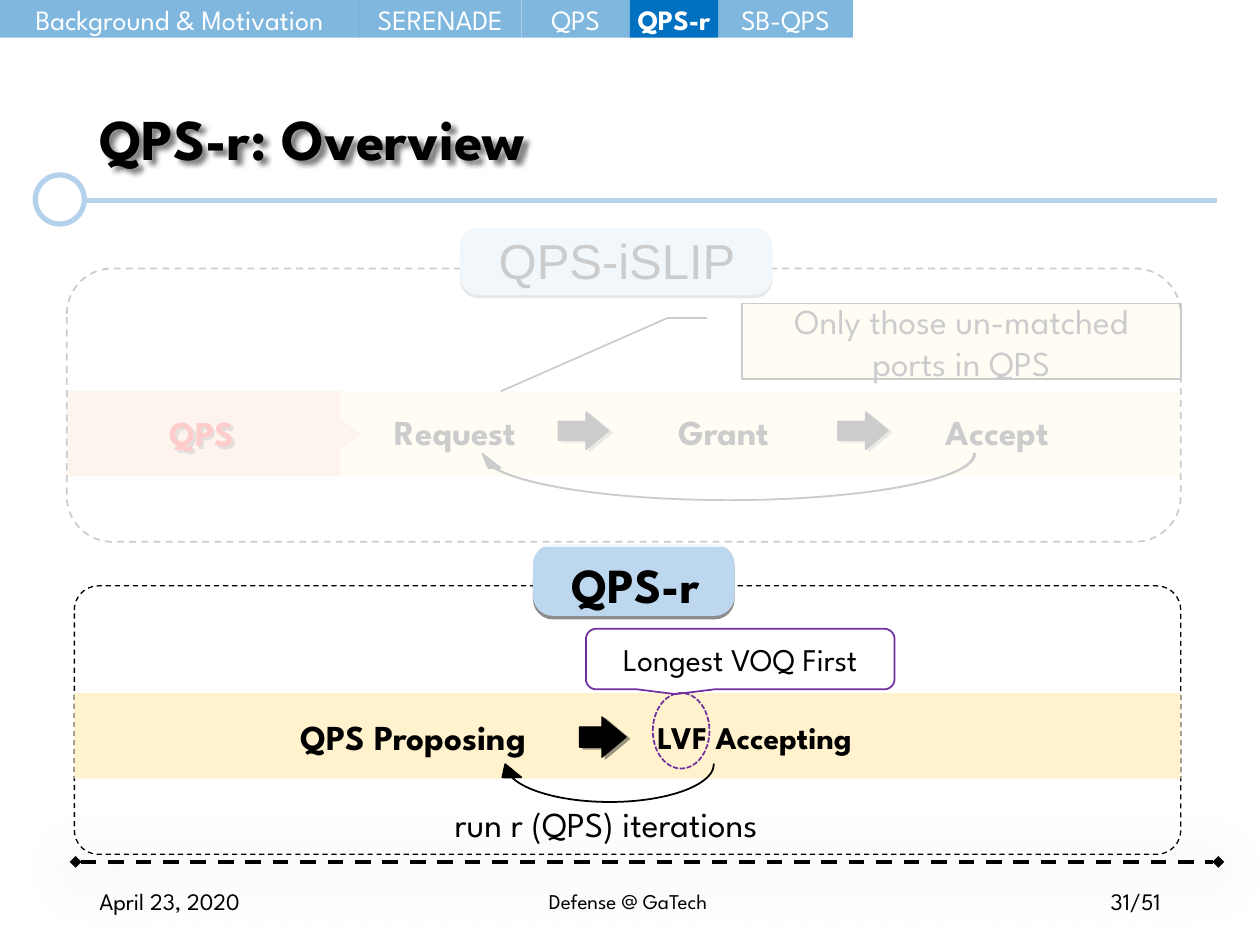
from dataclasses import dataclass
from itertools import accumulate
from typing import Any, NamedTuple, Optional

from lxml.etree import SubElement as Sub
from pptx import Presentation
from pptx.dml.color import RGBColor
from pptx.enum.dml import MSO_LINE as Dash
from pptx.enum.shapes import MSO_CONNECTOR as Link, MSO_SHAPE as Kind
from pptx.enum.text import MSO_ANCHOR as Anchor, MSO_AUTO_SIZE as Fit, PP_ALIGN as Align
from pptx.oxml.ns import qn
from pptx.util import Pt

FONT = "League Spartan"
BLACK, WHITE, BLUE, SKY = "000000", "FFFFFF", "0070C0", "BDD7EE"
CREAM, PEACH, PLUM, RULE = "FFF2CC", "F8CBAD", "7030A0", "B5D2EC"


class Shade(NamedTuple):
    tint: str
    alpha: int
    blur: float
    dist: float
    angle: int


@dataclass(frozen=True)
class Box:
    kind: Kind
    x: float
    y: float
    w: float
    h: float
    fill: Optional[str] = None
    alpha: int = 100
    line: Optional[str] = None
    thick: float = 1
    dash: Optional[Dash] = None
    adj: tuple[float, ...] = ()
    turn: int = 0
    shade: Optional[Shade] = None


class Label(NamedTuple):
    text: str
    x: float
    y: float
    w: float
    h: float
    form: dict[str, Any]


class Tab(NamedTuple):
    text: str
    width: float
    live: bool = False


def paint(item: Any, tint: str) -> None:
    item.rgb = RGBColor.from_string(tint)


def cast(effects: Any, shade: Shade) -> None:
    outer = Sub(effects, qn("a:outerShdw"), blurRad=str(Pt(shade.blur)),
                dist=str(Pt(shade.dist)), dir=str(shade.angle * 60000),
                algn="ctr", rotWithShape="0")
    color = Sub(outer, qn("a:srgbClr"), val=shade.tint)
    Sub(color, qn("a:alpha"), val=str(shade.alpha * 1000))


def drop(shape: Any, shade: Optional[Shade]) -> None:
    shape.shadow.inherit = False
    if shade:
        cast(shape.element.spPr.find(qn("a:effectLst")), shade)


def write(shape: Any, text: str, *, size: float = 20, bold: bool = False,
          tint: str = BLACK, font: str = FONT, align: Align = Align.CENTER,
          anchor: Anchor = Anchor.MIDDLE, wrap: bool = True, fit: Fit = Fit.NONE,
          lead: Optional[float] = None, inset: Optional[tuple[float, float]] = None) -> None:
    frame = shape.text_frame
    frame.word_wrap, frame.auto_size, frame.vertical_anchor = wrap, fit, anchor
    if inset:
        frame.margin_left = frame.margin_right = Pt(inset[0])
        frame.margin_top = frame.margin_bottom = Pt(inset[1])
    para = frame.paragraphs[0]
    para.alignment, para.line_spacing = align, lead
    run = para.add_run()
    run.text = text
    run.font.name, run.font.size, run.font.bold = font, Pt(size), bold
    paint(run.font.color, tint)


def draw(shapes: Any, box: Box) -> Any:
    shape = shapes.add_shape(box.kind, Pt(box.x), Pt(box.y), Pt(box.w), Pt(box.h))
    shape.rotation = box.turn
    for index, value in enumerate(box.adj):
        shape.adjustments[index] = value
    if box.fill:
        shape.fill.solid()
        paint(shape.fill.fore_color, box.fill)
        if box.alpha < 100:
            color = shape.element.spPr.find(qn("a:solidFill"))[0]
            Sub(color, qn("a:alpha"), val=str(box.alpha * 1000))
    else:
        shape.fill.background()
    if box.line:
        shape.line.width = Pt(box.thick)
        paint(shape.line.color, box.line)
        if box.dash:
            shape.line.dash_style = box.dash
    else:
        shape.line.fill.background()
    drop(shape, box.shade)
    return shape


def rule(shapes: Any, left: float, right: float, y: float, tint: str,
         thick: float, dash: Optional[Dash] = None, ends: Optional[str] = None,
         shade: Optional[Shade] = None) -> None:
    link = shapes.add_connector(Link.STRAIGHT, Pt(left), Pt(y), Pt(right), Pt(y))
    link.line.width = Pt(thick)
    paint(link.line.color, tint)
    if dash:
        link.line.dash_style = dash
    if ends:
        for name in ("a:headEnd", "a:tailEnd"):
            Sub(link.line._get_or_add_ln(), qn(name), type=ends)
    effects = Sub(link.element.spPr, qn("a:effectLst"))
    if shade:
        cast(effects, shade)


def note(shapes: Any, item: Label) -> Any:
    box = shapes.add_textbox(Pt(item.x), Pt(item.y), Pt(item.w), Pt(item.h))
    write(box, item.text, **item.form)
    return box


def badge(shapes: Any, x: float, y: float, w: float, h: float) -> None:
    draw(shapes, Box(Kind.ROUNDED_RECTANGLE, x, y, w, h, SKY, adj=(0.28,),
                     shade=Shade("1C1C1C", 50, 0, 2, 90)))
    draw(shapes, Box(Kind.ROUNDED_RECTANGLE, x + 1, y + 0.5, w - 2.5, h * 0.45,
                     SKY, adj=(0.5,)))


def arrow(shapes: Any, x: float, y: float, w: float, h: float) -> None:
    draw(shapes, Box(Kind.RIGHT_ARROW, x, y, w, h, BLACK, line=BLACK, thick=0.75,
                     adj=(0.5, 0.6), shade=Shade("333333", 50, 0, 2.2, 27)))


def header(slide: Any) -> None:
    shapes = slide.shapes
    title = shapes.title
    title.left, title.top, title.width, title.height = Pt(49.7), Pt(28.8), Pt(620.6), Pt(104.4)
    write(title, "QPS-r: Overview", size=33, bold=True, align=Align.LEFT, lead=0.9)
    drop(title, Shade(BLACK, 50, 3, 3, 45))
    rule(shapes, 49.7, 695.5, 114.5, RULE, 3)
    draw(shapes, Box(Kind.OVAL, 20.2, 100, 28, 28, WHITE, line=RULE, thick=3))
    tabs = (Tab("Background & Motivation", 205.2), Tab("SERENADE", 92.8),
            Tab("QPS", 62), Tab("QPS-r", 50.4, True), Tab("SB-QPS", 77))
    lefts = accumulate((tab.width for tab in tabs), initial=0)
    for tab, left in zip(tabs, lefts):
        cell = draw(shapes, Box(Kind.RECTANGLE, left, 0, tab.width, 21.6, BLUE,
                                100 if tab.live else 50))
        write(cell, tab.text, size=16, bold=tab.live, tint=WHITE, inset=(0, 3.6))


def footer(shapes: Any) -> None:
    rule(shapes, 43.2, 696.2, 492.5, BLACK, 2.25, Dash.DASH, "diamond",
         Shade(BLACK, 43, 36, 4, 90))
    for text, x, w, size, align in (
            ("April 23, 2020", 49.7, 162, 13.5, Align.LEFT),
            ("Defense @ GaTech", 173.5, 370.8, 12, Align.CENTER),
            ("31/51", 508.3, 162, 13.5, Align.RIGHT)):
        note(shapes, Label(text, x, 500.4, w, 28.8, dict(size=size, align=align)))


def faded(shapes: Any) -> None:
    draw(shapes, Box(Kind.RECTANGLE, 38.2, 223.2, 636.5, 49, CREAM))
    draw(shapes, Box(Kind.RECTANGLE, 38.2, 223.2, 156.2, 49, PEACH))
    draw(shapes, Box(Kind.ISOSCELES_TRIANGLE, 187.2, 240.5, 23, 15.1, PEACH, turn=90))
    bold = dict(bold=True, anchor=Anchor.TOP, fit=Fit.SHAPE_TO_FIT_TEXT)
    mark = note(shapes, Label("QPS", 43.2, 231.8, 144.7, 31.7, dict(bold, tint="FF0000")))
    drop(mark, Shade(BLACK, 50, 0, 2, 45))
    call = draw(shapes, Box(Kind.LINE_CALLOUT_2, 424.1, 173.5, 250.6, 43.2, CREAM,
                            line=BLACK, adj=(0.19, -0.08, 0.19, -0.17, 1.16, -0.55)))
    write(call, "Only those un-matched ports in QPS")
    draw(shapes, Box(Kind.ROUNDED_RECTANGLE, 38.2, 153.4, 636.5, 156.2,
                     line=BLACK, dash=Dash.DASH))
    badge(shapes, 262.8, 130.3, 178.6, 38.2)
    note(shapes, Label("QPS-iSLIP", 277.9, 131.8, 164.9, 38.2,
                       dict(size=28, font="Arial", align=Align.LEFT, lead=0.9)))
    for text, x in (("Request", 194.4), ("Grant", 347.8), ("Accept", 504)):
        note(shapes, Label(text, x, 231.1, 131.8, 31.7, bold))
    for x in (319, 478.8):
        arrow(shapes, x, 235.4, 28.8, 21.6)
    draw(shapes, Box(Kind.CURVED_DOWN_ARROW, 272.2, 259.2, 285.1, 26.6, BLACK,
                     line=BLACK, adj=(0.03, 0.26, 0.31), turn=180))
    draw(shapes, Box(Kind.ROUNDED_RECTANGLE, 28.8, 129.6, 660.2, 182.9, WHITE, 80))


def active(shapes: Any) -> None:
    draw(shapes, Box(Kind.ROUNDED_RECTANGLE, 42.5, 334.8, 632.2, 153.4, line=BLACK,
                     thick=0.75, dash=Dash.DASH, adj=(0.09,)))
    badge(shapes, 304.6, 311, 115.2, 41)
    draw(shapes, Box(Kind.RECTANGLE, 42.5, 396, 632.2, 49, CREAM))
    arrow(shapes, 331.2, 409.7, 26.6, 23)
    draw(shapes, Box(Kind.CURVED_LEFT_ARROW, 334.8, 385.2, 21.6, 124.6, BLACK,
                     line=BLACK, adj=(0, 0.5, 0.35), turn=90))
    grow = dict(anchor=Anchor.TOP, fit=Fit.SHAPE_TO_FIT_TEXT)
    loose = dict(grow, wrap=False, align=Align.LEFT)
    for item in (
            Label("QPS-r", 306.7, 313.2, 113, 41, dict(grow, size=28, bold=True)),
            Label("run r (QPS) iterations", 252.7, 455, 210.2, 31.7, loose),
            Label("QPS Proposing", 164.9, 405.4, 156.2, 31.7, dict(loose, bold=True)),
            Label("LVF Accepting", 368.6, 406.8, 144, 28.8, dict(loose, size=18, bold=True))):
        note(shapes, item)
    draw(shapes, Box(Kind.OVAL, 373, 396, 32.4, 43.2, line=PLUM, dash=Dash.SQUARE_DOT))
    call = draw(shapes, Box(Kind.ROUNDED_RECTANGULAR_CALLOUT, 334.8, 359.3, 176.4, 34.6,
                            line=PLUM, adj=(-0.21, 0.58, 0.17)))
    write(call, "Longest VOQ First", size=18)


def main() -> None:
    deck = Presentation()
    deck.slide_width, deck.slide_height = Pt(720), Pt(540)
    slide = deck.slides.add_slide(deck.slide_layouts[5])
    header(slide)
    footer(slide.shapes)
    active(slide.shapes)
    faded(slide.shapes)
    deck.save("out.pptx")


if __name__ == "__main__":
    main()
